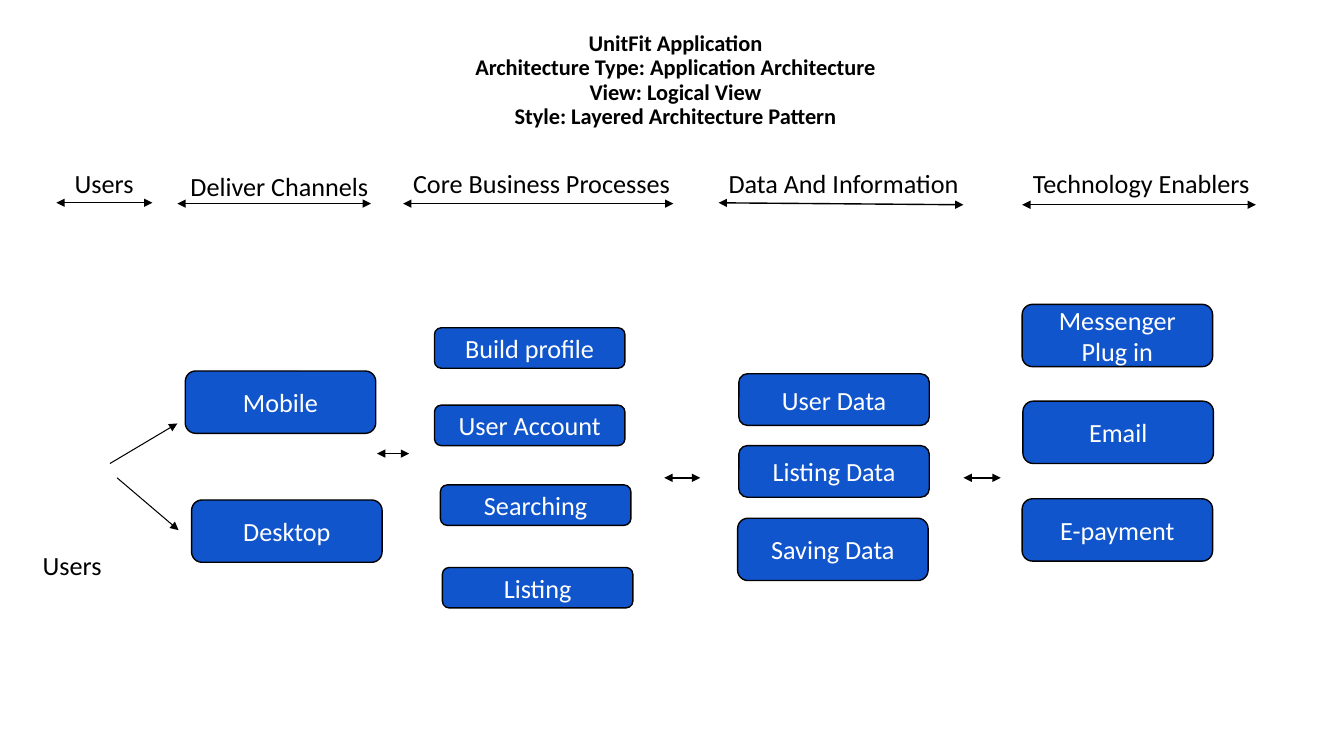
"""Build the layered architecture slide of the UnitFit application."""
import pptx
import pptx.dml.color
import pptx.enum.shapes
import pptx.enum.text
import pptx.oxml
import pptx.oxml.ns
import pptx.util

Cm = pptx.util.Cm
Pt = pptx.util.Pt
Anchor = pptx.enum.text.MSO_ANCHOR
Align = pptx.enum.text.PP_ALIGN
Kind = pptx.enum.shapes.MSO_SHAPE

BLACK = pptx.dml.color.RGBColor(0x00, 0x00, 0x00)
WHITE = pptx.dml.color.RGBColor(0xFF, 0xFF, 0xFF)
BLUE = pptx.dml.color.RGBColor(0x11, 0x55, 0xCC)

BODY = {"name": "Calibri", "size": Pt(18.7), "bold": False}
HEAD = {"name": "Calibri", "size": Pt(16), "bold": True}
FRAME = {
    "word_wrap": True,
    "auto_size": pptx.enum.text.MSO_AUTO_SIZE.NONE,
    "margin_left": Cm(0.25),
    "margin_right": Cm(0.25),
    "margin_top": Cm(0.13),
    "margin_bottom": Cm(0.13),
}
BOX_WIDTH = 4.8

TITLE = [
    "UnitFit Application",
    "Architecture Type: Application Architecture",
    "View: Logical View",
    "Style: Layered Architecture Pattern",
]
LABELS = [
    ("Users", 1.63, 4.09, 2.11),
    ("Deliver Channels", 4.55, 4.17, 5.59),
    ("Core Business Processes", 10.16, 4.09, 7.42),
    ("Data And Information", 18.11, 4.09, 6.71),
    ("Technology Enablers", 25.78, 4.09, 7.11),
]
SPANS = [
    (1.42, 5.11, 3.84, 5.11),
    (4.47, 5.13, 9.35, 5.13),
    (10.16, 5.13, 16.97, 5.13),
    (18.11, 5.11, 24.28, 5.16),
    (25.76, 5.16, 31.65, 5.16),
]
LINKS = [
    (9.5, 11.43, 10.31, 11.43),
    (16.74, 12.04, 17.65, 12.04),
    (24.28, 12.04, 25.22, 12.04),
]
PATHS = [
    (2.77, 11.68, 4.47, 10.67),
    (2.95, 12.04, 4.5, 13.36),
]
BOXES = [
    ("Mobile", 4.67, 9.35, 1.57),
    ("Desktop", 4.83, 12.6, 1.57),
    ("Build profile", 10.95, 8.26, 1.02),
    ("User Account", 10.95, 10.21, 1.02),
    ("Searching", 11.1, 12.22, 1.02),
    ("Listing", 11.15, 14.3, 1.02),
    ("User Data", 18.62, 9.42, 1.3),
    ("Listing Data", 18.62, 11.23, 1.3),
    ("Saving Data", 18.59, 13.06, 1.57),
    ("Messenger Plug in", 25.76, 7.67, 1.57),
    ("Email", 25.78, 10.11, 1.57),
    ("E-payment", 25.76, 12.57, 1.57),
]


def apply(target, values):
    """Set each named value on the target."""
    for name, value in values.items():
        setattr(target, name, value)


def write(shape, lines, font, color, align, anchor):
    """Fill a shape with formatted lines of text."""
    frame = shape.text_frame
    apply(frame, {**FRAME, "vertical_anchor": anchor})
    frame.text = "\n".join(lines)
    for para in frame.paragraphs:
        para.alignment = align
        for run in para.runs:
            apply(run.font, font)
            run.font.color.rgb = color


def add_title(slide):
    """Place and format the title, and drop the subtitle."""
    title, extra = slide.placeholders
    extra.element.getparent().remove(extra.element)
    apply(title, {"left": Cm(11.13), "top": Cm(0.64),
                  "width": Cm(11.79), "height": Cm(2.79)})
    write(title, TITLE, HEAD, BLACK, Align.CENTER, Anchor.MIDDLE)
    for para in title.text_frame.paragraphs:
        apply(para, {"line_spacing": 0.9, "space_before": Pt(0)})


def add_label(slide, text, left, top, width, height=0.76, align=Align.LEFT):
    """Add a plain black label."""
    label = slide.shapes.add_textbox(Cm(left), Cm(top), Cm(width), Cm(height))
    write(label, [text], BODY, BLACK, align, Anchor.TOP)


def add_box(slide, text, left, top, height):
    """Add a rounded blue box with centred white text."""
    box = slide.shapes.add_shape(Kind.ROUNDED_RECTANGLE, Cm(left), Cm(top),
                                 Cm(BOX_WIDTH), Cm(height))
    box.shadow.inherit = False
    box.fill.solid()
    box.fill.fore_color.rgb = BLUE
    box.line.color.rgb = BLACK
    box.line.width = Pt(1)
    write(box, [text], BODY, WHITE, Align.CENTER, Anchor.MIDDLE)


def add_arrow(slide, ends, width, tips):
    """Add a straight black line with triangle tips."""
    arrow = slide.shapes.add_connector(
        pptx.enum.shapes.MSO_CONNECTOR.STRAIGHT, *map(Cm, ends))
    arrow.line.color.rgb = BLACK
    arrow.line.width = Pt(width)
    props = arrow.element.spPr
    line = props.find(pptx.oxml.ns.qn("a:ln"))
    space = pptx.oxml.ns.nsdecls("a")
    for tip in tips:
        line.append(pptx.oxml.parse_xml(f'<a:{tip} {space} type="triangle"/>'))
    props.append(pptx.oxml.parse_xml(f"<a:effectLst {space}/>"))


def main():
    """Build the slide and save it."""
    deck = pptx.Presentation()
    apply(deck, {"slide_width": Cm(33.87), "slide_height": Cm(19.05)})
    slide = deck.slides.add_slide(deck.slide_layouts[0])
    add_title(slide)
    for label in LABELS:
        add_label(slide, *label)
    add_label(slide, "Users", 0.08, 13.72, 3.48, 1.02, Align.CENTER)
    for box in BOXES:
        add_box(slide, *box)
    for ends in SPANS + LINKS:
        add_arrow(slide, ends, 1, ["headEnd", "tailEnd"])
    for ends in PATHS:
        add_arrow(slide, ends, 0.75, ["tailEnd"])
    deck.save("out.pptx")


if __name__ == "__main__":
    main()
